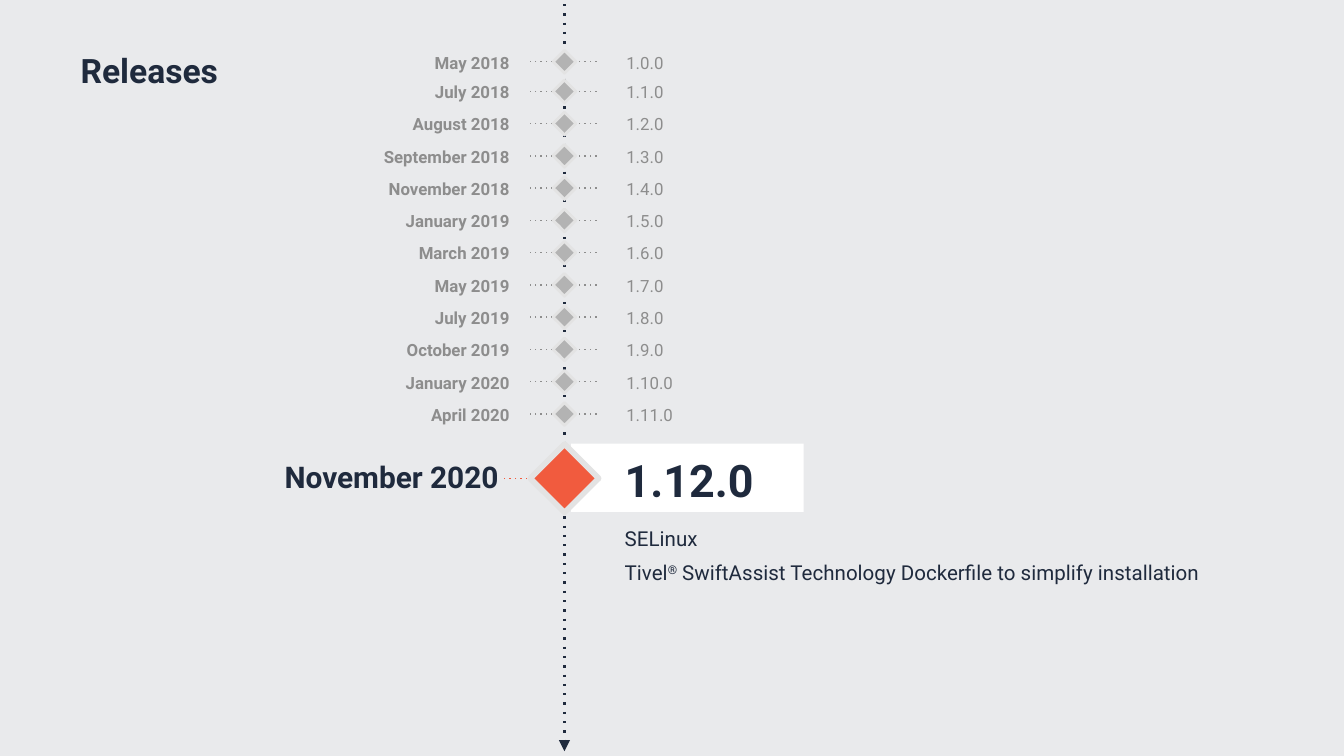
from lxml.etree import SubElement
from pptx import Presentation
from pptx.dml.color import RGBColor
from pptx.enum.shapes import MSO_CONNECTOR as CONNECTOR, MSO_SHAPE as SHAPE
from pptx.enum.text import MSO_ANCHOR as ANCHOR, PP_ALIGN as ALIGN
from pptx.oxml.ns import qn
from pptx.util import Inches, Pt

COLORS = {
    "background": "E9EAEC",
    "ink": "1F2A3D",
    "muted": "8D8D8D",
    "marker": "B3B3B3",
    "outline": "E3E3E3",
    "accent": "F15B3E",
    "panel": "FFFFFF",
}
FONT = "Roboto"
FIRST_RELEASE = ("May 2018", "1.0.0")
LATER_RELEASES = [
    ("July 2018", "1.1.0"),
    ("August 2018", "1.2.0"),
    ("September 2018", "1.3.0"),
    ("November 2018", "1.4.0"),
    ("January 2019", "1.5.0"),
    ("March 2019", "1.6.0"),
    ("May 2019", "1.7.0"),
    ("July 2019", "1.8.0"),
    ("October 2019", "1.9.0"),
    ("January 2020", "1.10.0"),
    ("April 2020", "1.11.0"),
]
AXIS_X = 4.2
FIRST_ROW_Y = 0.46
LATER_ROWS_Y = 0.68
ROW_STEP = 0.24


def color(name):
    return RGBColor.from_string(COLORS[name])


def format_paragraph(paragraph, size, color_name, bold=False, align=ALIGN.LEFT):
    paragraph.alignment = align
    for run in paragraph.runs:
        run.font.name = FONT
        run.font.size = Pt(size)
        run.font.bold = bold
        run.font.color.rgb = color(color_name)


def set_frame(text_frame, insets, anchor=ANCHOR.TOP):
    text_frame.word_wrap = True
    text_frame.vertical_anchor = anchor
    left, top, right, bottom = (Inches(inset) for inset in insets)
    text_frame.margin_left, text_frame.margin_top = left, top
    text_frame.margin_right, text_frame.margin_bottom = right, bottom


def add_text(slide, box, text, size, color_name, bold=False, align=ALIGN.LEFT,
             insets=(0.04, 0.05, 0.04, 0.05), anchor=ANCHOR.TOP):
    text_frame = slide.shapes.add_textbox(*map(Inches, box)).text_frame
    set_frame(text_frame, insets, anchor)
    text_frame.text = text
    format_paragraph(text_frame.paragraphs[0], size, color_name, bold, align)
    return text_frame


def add_dotted_line(slide, start, end, color_name, width, arrow=False):
    connector = slide.shapes.add_connector(
        CONNECTOR.STRAIGHT, *map(Inches, (*start, *end)))
    connector.line.color.rgb = color(color_name)
    connector.line.width = Pt(width)
    line = connector.line._get_or_add_ln()
    SubElement(line, qn("a:prstDash"), val="dot")
    if arrow:
        SubElement(line, qn("a:tailEnd"), type="triangle")
    SubElement(connector._element.spPr, qn("a:effectLst"))


def add_rectangle(slide, box, fill):
    shape = slide.shapes.add_shape(SHAPE.RECTANGLE, *map(Inches, box))
    shape.shadow.inherit = False
    shape.fill.solid()
    shape.fill.fore_color.rgb = color(fill)
    shape.line.fill.background()
    return shape


def add_diamond(slide, y, side, fill, outline_width):
    box = (AXIS_X - side / 2, y - side / 2, side, side)
    shape = add_rectangle(slide, box, fill)
    shape.rotation = 45
    shape.line.color.rgb = color("outline")
    shape.line.width = Pt(outline_width)


def add_title(slide, box, text):
    title = slide.shapes.title
    title.left, title.top, title.width, title.height = map(Inches, box)
    set_frame(title.text_frame, (0.1, 0.1, 0.1, 0.1), ANCHOR.MIDDLE)
    title.text_frame.text = text
    format_paragraph(title.text_frame.paragraphs[0], 18, "ink", bold=True)


def add_release_row(slide, y, date, version):
    top = y - 0.12
    add_text(slide, (2.81, top, 1.02, 0.25), date, 9, "muted", True, ALIGN.RIGHT,
             insets=(0, 0.05, 0.04, 0.05))
    add_text(slide, (4.62, top, 0.5, 0.25), version, 9, "muted")
    add_dotted_line(slide, (4.44, y), (3.94, y), "muted", 0.75)
    add_diamond(slide, y, 0.12, "marker", 1.5)


def add_current_release(slide, y, date, version):
    add_dotted_line(slide, (4.25, y), (3.75, y), "accent", 0.75)
    add_rectangle(slide, (4.25, y - 0.26, 1.73, 0.51), "panel")

    details = add_text(slide, (4.55, y - 0.29, 4.7, 2.46), version, 24, "ink",
                       True, insets=(0.1, 0.1, 0.1, 0.1))
    feature = details.add_paragraph()
    feature.text = "SELinux"
    feature.space_before = Pt(10.5)
    installation = details.add_paragraph()
    installation.space_before = Pt(5)
    for text in ("Tivel", "®", " SwiftAssist Technology Dockerfile to simplify installation"):
        installation.add_run().text = text
    for paragraph in (feature, installation):
        format_paragraph(paragraph, 11, "ink")
    installation.runs[1].font._element.set("baseline", "30000")

    add_text(slide, (1.7, y - 0.3, 2.16, 0.57), date, 16, "ink", True,
             ALIGN.RIGHT, (0.2, 0.1, 0.15, 0.1), ANCHOR.MIDDLE)
    add_diamond(slide, y, 0.36, "accent", 3)


def main():
    presentation = Presentation()
    presentation.slide_width = Inches(10)
    presentation.slide_height = Inches(10) * 9 // 16
    slide = presentation.slides.add_slide(presentation.slide_layouts[5])
    slide.background.fill.solid()
    slide.background.fill.fore_color.rgb = color("background")

    add_title(slide, (0.5, 0.1, 2.24, 0.84), "Releases")
    add_dotted_line(slide, (AXIS_X, 0.03), (AXIS_X, 5.59), "ink", 1.25, arrow=True)
    add_release_row(slide, FIRST_ROW_Y, *FIRST_RELEASE)
    for index, (date, version) in enumerate(LATER_RELEASES):
        add_release_row(slide, LATER_ROWS_Y + index * ROW_STEP, date, version)
    add_current_release(slide, 3.56, "November 2020", "1.12.0")

    presentation.save("out.pptx")


if __name__ == "__main__":
    main()
